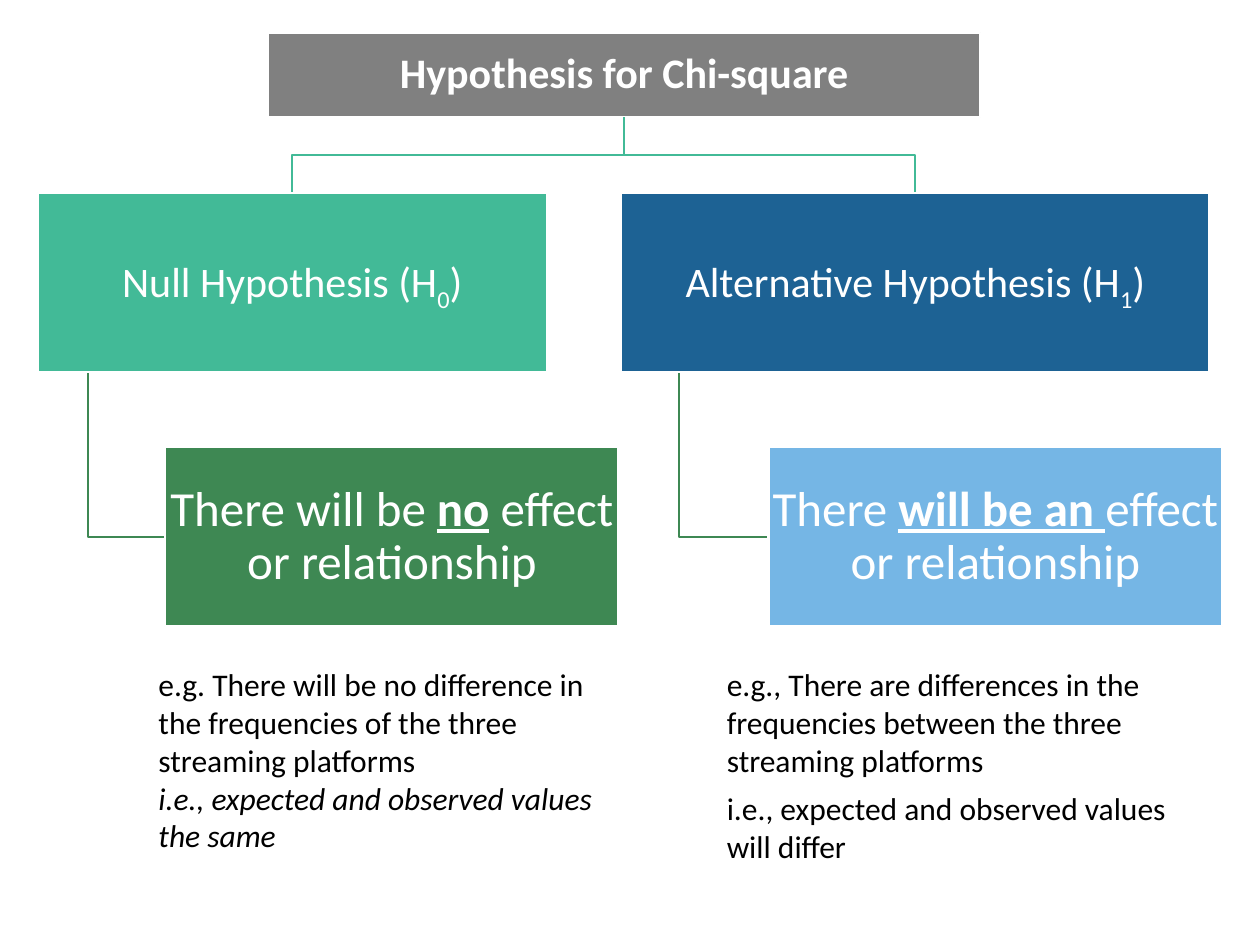
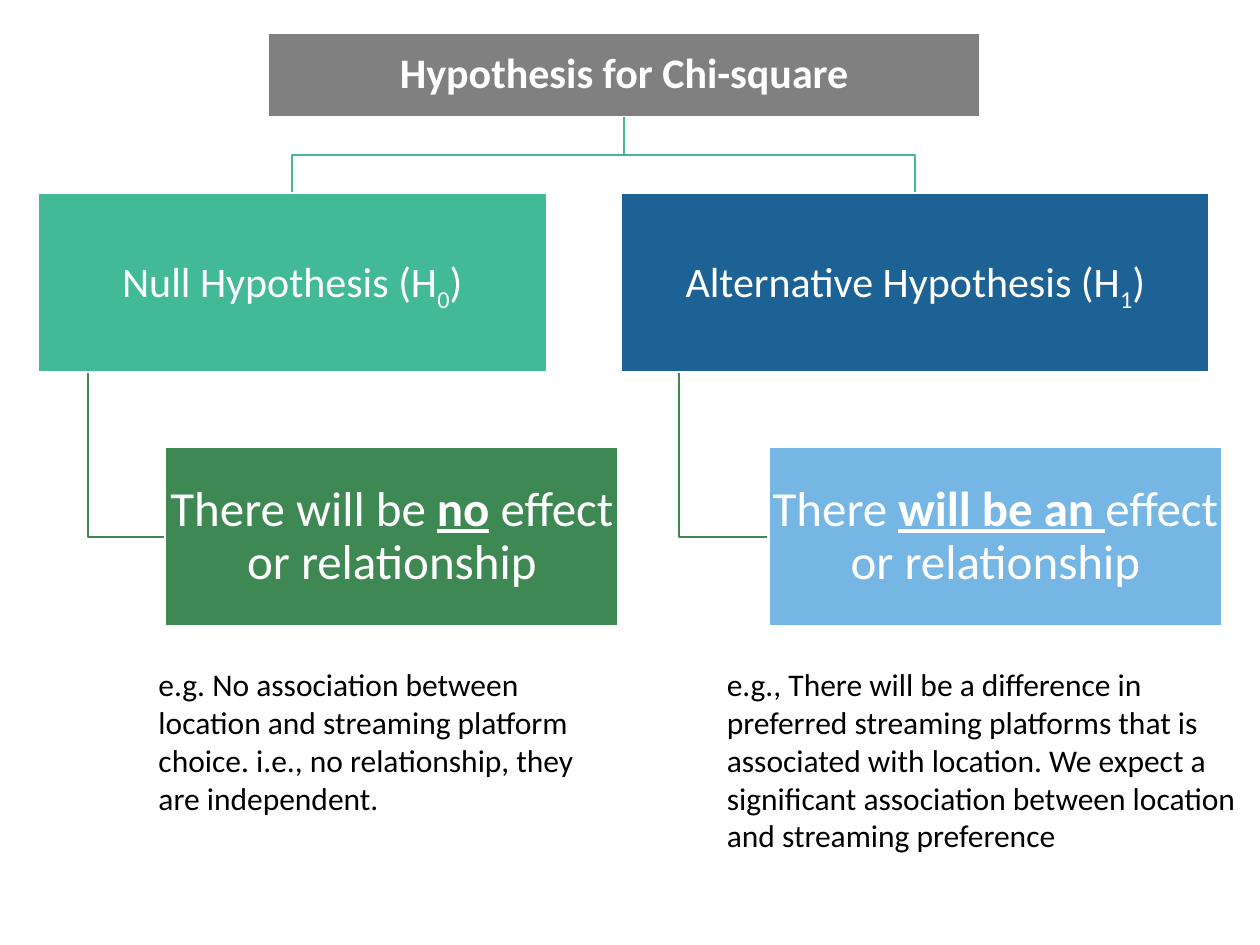
import pptx
import pptx.util
import pptx.dml.color
import pptx.enum.shapes
import pptx.enum.text

PX = 9144
FONT = "Calibri"
COLOURS = {
    "white": "FFFFFF",
    "black": "000000",
    "heading": "808080",
    "null": "42BA97",
    "null_claim": "3E8853",
    "alternative": "1D6294",
    "alternative_claim": "75B6E5",
}
HEADING = (213, 26, 565, 67)
LEVEL_TOP, CLAIM_TOP, BOX_HEIGHT = 153, 355, 142
CLAIM_WIDTH = 360
EXAMPLE_TOP = 523

branches = [
    {"key": "null", "left": 30, "width": 404, "claim_left": 131,
     "name": [("Null Hypothesis (H", ""), ("0", "sub"), (")", "")],
     "claim": [("There will be ", ""), ("no", "strong"),
               (" effect or relationship", "")]},
    {"key": "alternative", "left": 493, "width": 467, "claim_left": 610,
     "name": [("Alternative Hypothesis (H", ""), ("1", "sub"), (")", "")],
     "claim": [("There ", ""), ("will be an ", "strong"),
               ("effect or relationship", "")]},
]

slide_examples = [
    [
        {"box": (116, EXAMPLE_TOP, 384, 200), "gap": 0, "italic_last": True,
         "lines": ["e.g. There will be no difference in the frequencies of the three streaming platforms",
                   "i.e., expected and observed values the same"]},
        {"box": (567, EXAMPLE_TOP, 404, 170), "gap": 6, "italic_last": False,
         "lines": ["e.g., There are differences in the frequencies between the three streaming platforms",
                   "i.e., expected and observed values will differ"]},
    ],
    [
        {"box": (116, EXAMPLE_TOP, 384, 131), "gap": 0, "italic_last": False,
         "lines": ["e.g. No association between location and streaming platform choice. "
                   "i.e., no relationship, they are independent."]},
        {"box": (567, EXAMPLE_TOP, 433, 162), "gap": 0, "italic_last": False,
         "lines": ["e.g., There will be a difference in preferred streaming platforms that is "
                   "associated with location. We expect a significant association between "
                   "location and streaming preference"]},
    ],
]


def rgb(name):
    return pptx.dml.color.RGBColor.from_string(COLOURS[name])


def fill_box(box, colour, pieces, size):
    box.fill.solid()
    box.fill.fore_color.rgb = rgb(colour)
    box.line.color.rgb = rgb("white")
    box.line.width = pptx.util.Pt(1.25)
    frame = box.text_frame
    frame.word_wrap = True
    frame.auto_size = pptx.enum.text.MSO_AUTO_SIZE.NONE
    frame.vertical_anchor = pptx.enum.text.MSO_ANCHOR.MIDDLE
    frame.margin_left = frame.margin_right = 2 * PX
    frame.margin_top = frame.margin_bottom = 2 * PX
    paragraph = frame.paragraphs[0]
    paragraph.alignment = pptx.enum.text.PP_ALIGN.CENTER
    paragraph.line_spacing = 0.9
    for text, style in pieces:
        run = paragraph.add_run()
        run.text = text
        run.font.name = FONT
        run.font.size = pptx.util.Pt(size)
        run.font.color.rgb = rgb("white")
        if style in ("bold", "strong"):
            run.font.bold = True
        if style == "strong":
            run.font.underline = True
        if style == "sub":
            run._r.get_or_add_rPr().set("baseline", "-25000")


presentation = pptx.Presentation()
presentation.slide_width = 1000 * PX
presentation.slide_height = 750 * PX

for examples in slide_examples:
    slide = presentation.slides.add_slide(presentation.slide_layouts[5])
    heading = slide.shapes.title
    heading.left, heading.top, heading.width, heading.height = [n * PX for n in HEADING]
    fill_box(heading, "heading", [("Hypothesis for Chi-square", "bold")], 24)

    root_x = HEADING[0] + HEADING[2] // 2
    root_bottom = HEADING[1] + HEADING[3]
    fork_y = (root_bottom + LEVEL_TOP) // 2
    level_bottom = LEVEL_TOP + BOX_HEIGHT
    claim_middle = CLAIM_TOP + BOX_HEIGHT // 2

    for branch in branches:
        left, width, claim_left = branch["left"], branch["width"], branch["claim_left"]
        centre = left + width // 2
        stem_x = left + width // 10
        routes = [
            ("null", [(root_x, root_bottom), (root_x, fork_y),
                      (centre, fork_y), (centre, LEVEL_TOP)]),
            ("null_claim", [(stem_x, level_bottom), (stem_x, claim_middle),
                            (claim_left, claim_middle)]),
        ]
        for colour, points in routes:
            builder = slide.shapes.build_freeform(*points[0], scale=PX)
            builder.add_line_segments(points[1:], close=False)
            route = builder.convert_to_shape()
            route.shadow.inherit = False
            route.fill.background()
            route.line.color.rgb = rgb(colour)
            route.line.width = pptx.util.Pt(1.25)

        boxes = [
            (left, LEVEL_TOP, width, branch["key"], branch["name"], 24),
            (claim_left, CLAIM_TOP, CLAIM_WIDTH, branch["key"] + "_claim", branch["claim"], 28),
        ]
        for x, y, box_width, colour, pieces, size in boxes:
            box = slide.shapes.add_shape(
                pptx.enum.shapes.MSO_SHAPE.RECTANGLE,
                x * PX, y * PX, box_width * PX, BOX_HEIGHT * PX)
            box.shadow.inherit = False
            fill_box(box, colour, pieces, size)

    for example in examples:
        example_box = slide.shapes.add_textbox(*[n * PX for n in example["box"]])
        frame = example_box.text_frame
        frame.word_wrap = True
        frame.text = "\n".join(example["lines"])
        for index, paragraph in enumerate(frame.paragraphs):
            if index:
                paragraph.space_before = pptx.util.Pt(example["gap"])
            font = paragraph.runs[0].font
            font.name = FONT
            font.size = pptx.util.Pt(18)
            font.color.rgb = rgb("black")
            if index and example["italic_last"]:
                font.italic = True

presentation.save("out.pptx")
